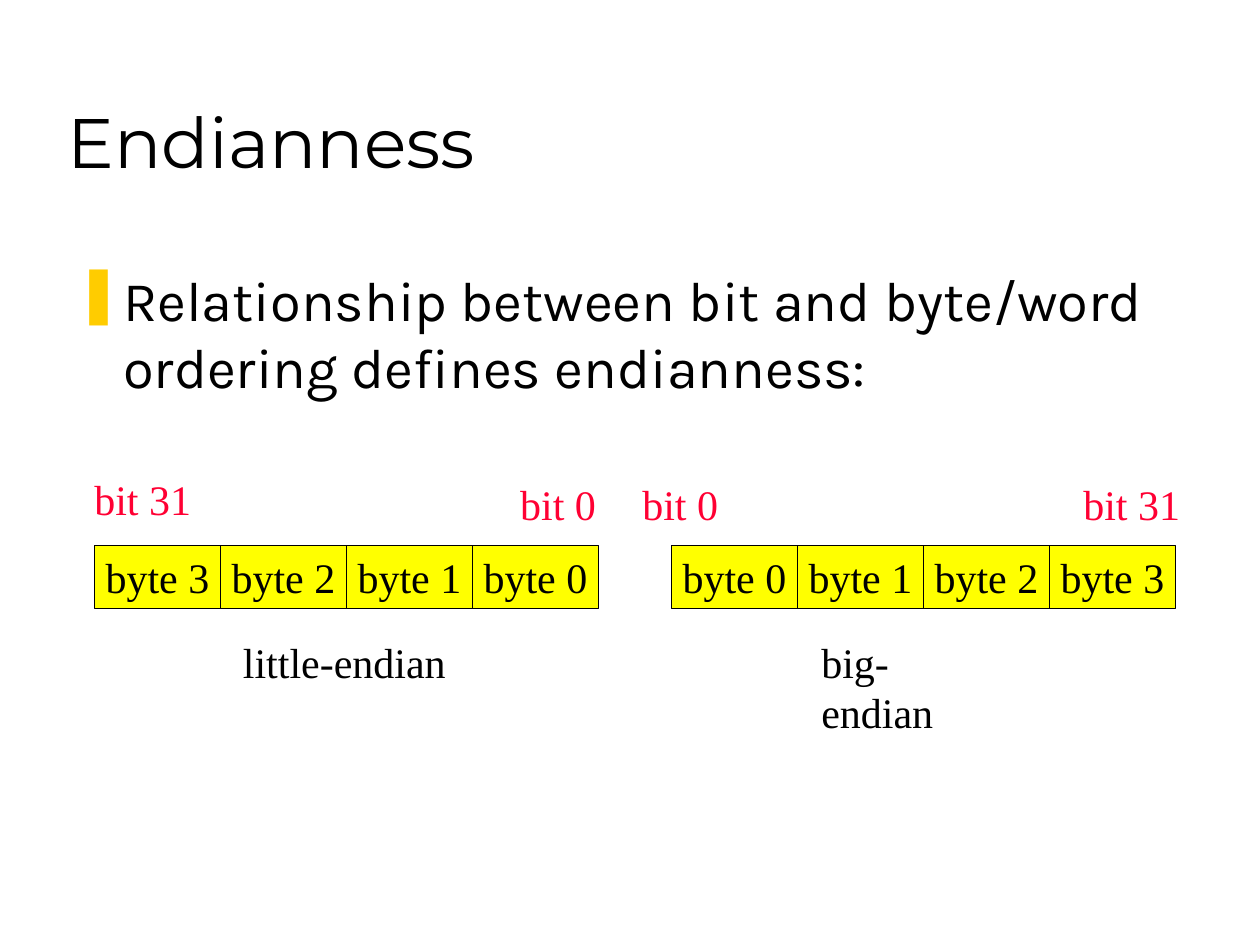
import pptx
import pptx.util
import pptx.dml.color
import pptx.enum.shapes
import pptx.enum.text
import lxml.etree

Inches = pptx.util.Inches
Pt = pptx.util.Pt
ALIGN = pptx.enum.text.PP_ALIGN
ANCHOR = pptx.enum.text.MSO_ANCHOR

COLORS = {"text": "000000", "bit": "FF0033", "byte": "FFFF00", "bullet": "FFCC00"}
SERIF = "Times New Roman"
TITLE = "Endianness"
STATEMENT = "Relationship between bit and byte/word ordering defines endianness:"
BULLET = "❚"

WORDS = [
    {
        "left": 0.75,
        "bytes": ["byte 3", "byte 2", "byte 1", "byte 0"],
        "bits": [("bit 31", 0.65, 3.71, 0.97), ("bit 0", 4.03, 3.75, 0.8)],
        "name": ("little-endian", 1.83, 5, 1.81),
    },
    {
        "left": 5.33,
        "bytes": ["byte 0", "byte 1", "byte 2", "byte 3"],
        "bits": [("bit 0", 5, 3.75, 0.8), ("bit 31", 8.5, 3.75, 0.97)],
        "name": ("big-endian", 6.42, 5, 1.62),
    },
]
BYTE_TOP, BYTE_WIDTH, BYTE_HEIGHT = 4.33, 1, 0.5
LABEL_HEIGHT = 0.5


def rgb(name):
    return pptx.dml.color.RGBColor.from_string(COLORS[name])


def write(box, text, size, font, color="text", align=ALIGN.LEFT, anchor=ANCHOR.TOP, wrap=False):
    frame = box.text_frame
    frame.text = text
    frame.word_wrap = wrap
    frame.vertical_anchor = anchor
    para = frame.paragraphs[0]
    para.alignment = align
    span = para.runs[0]
    span.font.size = Pt(size)
    span.font.name = font
    span.font.color.rgb = rgb(color)
    return para


def add_text(page, place, *args, **options):
    box = page.shapes.add_textbox(*map(Inches, place))
    return write(box, *args, **options)


def add_label(page, label, color):
    text, left, top, width = label
    add_text(page, (left, top, width, LABEL_HEIGHT), text, 24, SERIF, color)


def add_byte(page, text, left):
    box = page.shapes.add_shape(
        pptx.enum.shapes.MSO_SHAPE.RECTANGLE,
        *map(Inches, (left, BYTE_TOP, BYTE_WIDTH, BYTE_HEIGHT)),
    )
    box.shadow.inherit = False
    box.fill.solid()
    box.fill.fore_color.rgb = rgb("byte")
    box.line.color.rgb = rgb("text")
    box.line.width = Pt(1)
    write(box, text, 24, SERIF, align=ALIGN.CENTER, anchor=ANCHOR.MIDDLE)


def add_bullet(para, indent):
    props = para._p.get_or_add_pPr()
    props.set("marL", str(Inches(indent)))
    props.set("indent", str(-Inches(indent)))
    namespace = "{http://schemas.openxmlformats.org/drawingml/2006/main}"
    color = lxml.etree.SubElement(props, namespace + "buClr")
    lxml.etree.SubElement(color, namespace + "srgbClr", val=COLORS["bullet"])
    lxml.etree.SubElement(props, namespace + "buChar", char=BULLET)


def main():
    deck = pptx.Presentation()
    deck.slide_width, deck.slide_height = Inches(10), Inches(7.5)
    page = deck.slides.add_slide(deck.slide_layouts[6])

    add_text(page, (0.44, 0.25, 8.5, 1.25), TITLE, 40, "Montserrat",
             anchor=ANCHOR.BOTTOM, wrap=True)
    statement = add_text(page, (0.5, 2.06, 8.94, 1.27), STATEMENT, 32, "Karla", wrap=True)
    add_bullet(statement, 0.38)

    for word in WORDS:
        for index, text in enumerate(word["bytes"]):
            add_byte(page, text, word["left"] + index * BYTE_WIDTH)
        for bit in word["bits"]:
            add_label(page, bit, "bit")
        add_label(page, word["name"], "text")

    deck.save("out.pptx")


if __name__ == "__main__":
    main()
